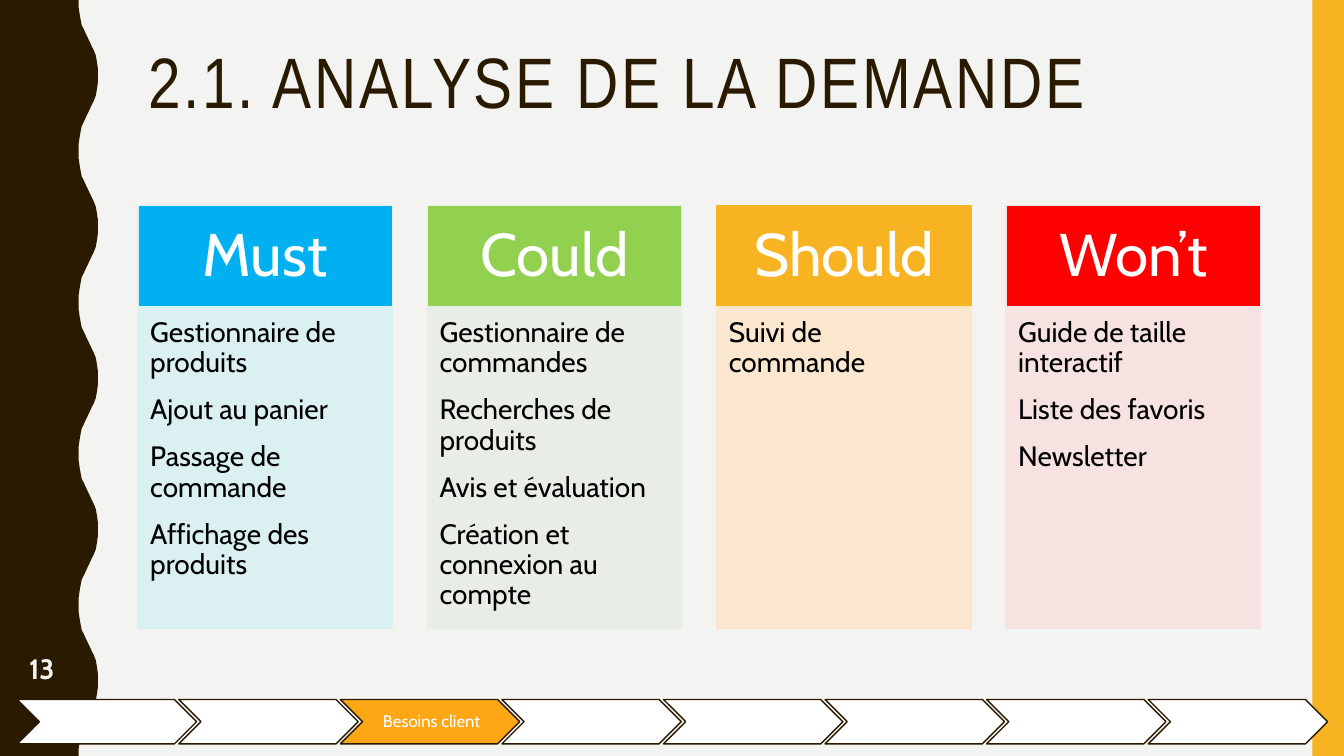
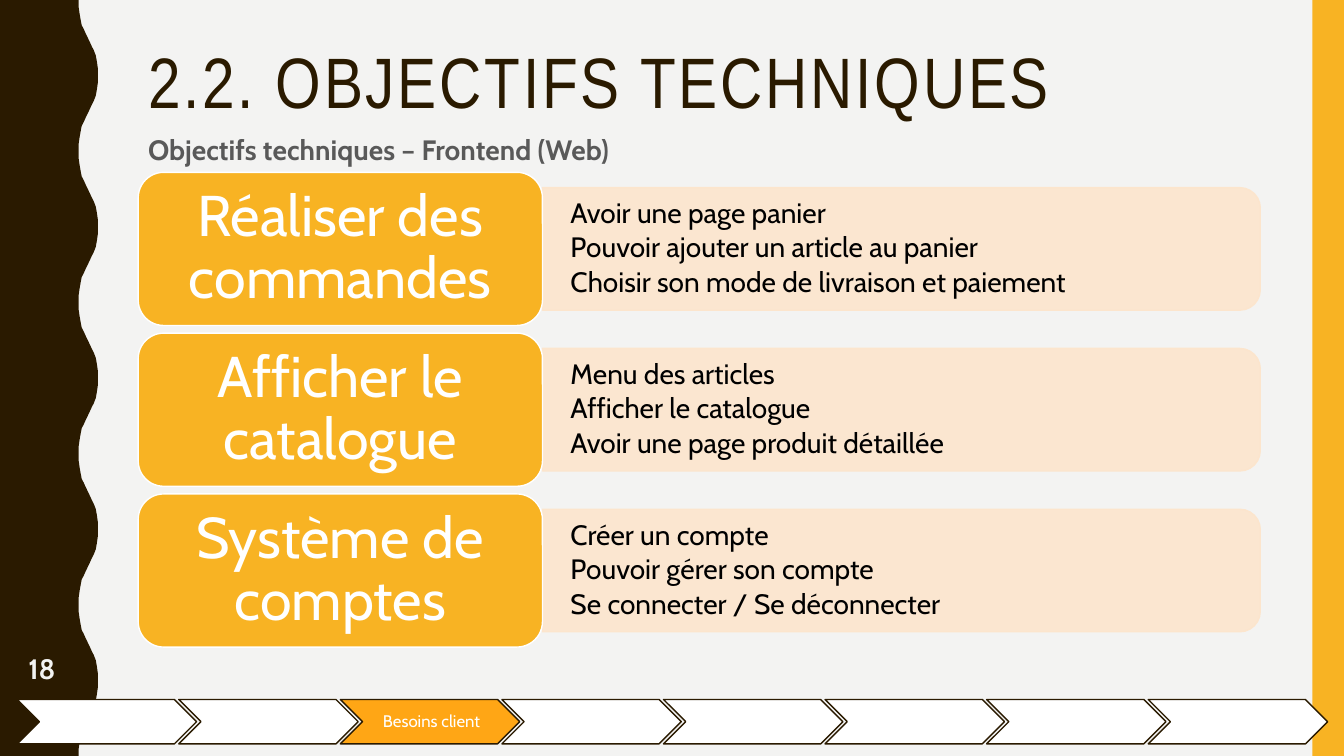
from dataclasses import dataclass

import lxml.etree
import pptx
import pptx.dml.color
import pptx.enum.shapes
import pptx.enum.text
import pptx.oxml.ns
import pptx.util

SHAPE = pptx.enum.shapes.MSO_SHAPE
ALIGN = pptx.enum.text.PP_ALIGN
ANCHOR = pptx.enum.text.MSO_ANCHOR


@dataclass(frozen=True)
class Theme:
    paper: str = "F3F3F2"
    dark: str = "2A1A00"
    accent: str = "F8B323"
    active: str = "FFA615"
    white: str = "FFFFFF"
    black: str = "000000"
    grey: str = "595959"
    peach: str = "FCE5CD"
    blue: str = "00B0F0"
    pale_blue: str = "DAF0F1"
    green: str = "92D050"
    pale_green: str = "E8EEE5"
    red: str = "FF0000"
    pale_red: str = "F6E2E1"
    title_font: str = "Arial Narrow"
    body_font: str = "Cabin"
    title_size: int = 51
    heading_size: int = 43
    goal_size: int = 41
    body_size: int = 20
    step_size: int = 12


THEME = Theme()


@dataclass(frozen=True)
class Box:
    left: float
    top: float
    width: float
    height: float

    def area(self, left, top, width, height):
        return Box(self.left + self.width * left / 100, self.top + self.height * top / 100,
                   self.width * width / 100, self.height * height / 100)

    def columns(self, count, gap):
        width = (100 - gap * (count - 1)) / count
        return [self.area(i * (width + gap), 0, width, 100) for i in range(count)]

    def rows(self, count, gap):
        height = (100 - gap * (count - 1)) / count
        return [self.area(0, i * (height + gap), 100, height) for i in range(count)]

    def upright(self):
        return Box(self.left + (self.width - self.height) / 2,
                   self.top + (self.height - self.width) / 2, self.height, self.width)

    def emu(self):
        return [round(v) for v in (self.left, self.top, self.width, self.height)]


PAGE = Box(0, 0, pptx.util.Inches(13.33), pptx.util.Inches(7.5))
CONTENT = PAGE.area(10.28, 0, 83.49, 100)

HALF_WAVE = [(80.4, 0), (80.4, 4.7), (81.4, 9.3), (82.5, 13.3), (83.5, 16.7),
             (85.6, 19.3), (87.6, 22.2), (89.7, 25), (91.8, 27.8), (93.8, 30.7),
             (95.9, 33.3), (97.9, 36.7), (99, 40.7), (100, 45.3), (100, 50)]
WAVE_COUNT = 5
STEPS = ["", "", "Besoins client", "", "", "", "", ""]

PRIORITIES = [
    ("Must", THEME.blue, THEME.pale_blue, THEME.pale_blue, 100,
     ["Gestionnaire de produits", "Ajout au panier", "Passage de commande",
      "Affichage des produits"]),
    ("Could", THEME.green, THEME.pale_green, THEME.pale_green, 100,
     ["Gestionnaire de commandes", "Recherches de produits", "Avis et évaluation",
      "Création et connexion au compte"]),
    ("Should", THEME.accent, THEME.accent, THEME.peach, 90, ["Suivi de commande"]),
    ("Won’t", THEME.red, THEME.pale_red, THEME.pale_red, 100,
     ["Guide de taille interactif", "Liste des favoris", "Newsletter"]),
]

GOALS = [
    ("Réaliser des commandes",
     ["Avoir une page panier", "Pouvoir ajouter un article au panier",
      "Choisir son mode de livraison et paiement"]),
    ("Afficher le catalogue",
     ["Menu des articles", "Afficher le catalogue", "Avoir une page produit détaillée"]),
    ("Système de comptes",
     ["Créer un compte", "Pouvoir gérer son compte", "Se connecter / Se déconnecter"]),
]


def rgb(value):
    return pptx.dml.color.RGBColor.from_string(value)


def paint(shape, fill, line=None, opacity=100):
    shape.shadow.inherit = False
    shape.fill.solid()
    shape.fill.fore_color.rgb = rgb(fill)
    if opacity < 100:
        qn = pptx.oxml.ns.qn
        color = shape.element.spPr.find(qn("a:solidFill"))[0]
        lxml.etree.SubElement(color, qn("a:alpha")).set("val", str(opacity * 1000))
    if line:
        shape.line.color.rgb = rgb(line)
        shape.line.width = pptx.util.Pt(1)
    else:
        shape.line.fill.background()
    return shape


def add_block(slide, box, kind, fill, line=None, opacity=100):
    return paint(slide.shapes.add_shape(kind, *box.emu()), fill, line, opacity)


def write(holder, lines, *, size=THEME.body_size, color=THEME.black, font=THEME.body_font,
          bold=False, align=ALIGN.LEFT, anchor=ANCHOR.TOP, inset=(7.2, 3.6, 7.2, 3.6),
          leading=0.9, after=0, tracking=0):
    frame = holder.text_frame
    frame.word_wrap = True
    frame.vertical_anchor = anchor
    (frame.margin_left, frame.margin_top,
     frame.margin_right, frame.margin_bottom) = map(pptx.util.Pt, inset)
    for i, line in enumerate(lines):
        paragraph = frame.add_paragraph() if i else frame.paragraphs[0]
        paragraph.alignment = align
        paragraph.line_spacing = leading
        paragraph.space_after = pptx.util.Pt(after)
        run = paragraph.add_run()
        run.text = line
        run.font.name = font
        run.font.size = pptx.util.Pt(size)
        run.font.bold = bold
        run.font.color.rgb = rgb(color)
        if tracking:
            run._r.get_or_add_rPr().set("spc", str(tracking * 100))


def add_text(slide, box, *lines, **style):
    write(slide.shapes.add_textbox(*box.emu()), lines, **style)


def draw_wave(slide, box):
    period = HALF_WAVE + [(x, 100 - y) for x, y in HALF_WAVE[-2:0:-1]]
    edge = [(wave.left + wave.width * x / 100, wave.top + wave.height * y / 100)
            for wave in box.rows(WAVE_COUNT, 0) for x, y in period]
    bottom = box.top + box.height
    edge += [(edge[0][0], bottom), (box.left, bottom)]
    outline = slide.shapes.build_freeform(round(box.left), round(box.top))
    outline.add_line_segments([(round(x), round(y)) for x, y in edge], close=True)
    paint(outline.convert_to_shape(), THEME.dark)


def draw_progress(slide, box):
    for step, cell in zip(STEPS, box.columns(len(STEPS), -1.36)):
        chevron = add_block(slide, cell, SHAPE.CHEVRON,
                            THEME.active if step else THEME.white, THEME.dark)
        if step:
            write(chevron, [step], size=THEME.step_size, color=THEME.white,
                  align=ALIGN.CENTER, anchor=ANCHOR.MIDDLE, inset=(3.6, 1.4, 1.4, 1.4))


def start_slide(deck, title, number):
    slide = deck.slides.add_slide(deck.slide_layouts[6])
    draw_wave(slide, PAGE.area(0, 0, 7.28, 100))
    add_block(slide, PAGE.area(97.65, 0, 2.35, 100), SHAPE.RECTANGLE, THEME.accent)
    add_text(slide, CONTENT.area(0, 5.6, 100, 11.87), title, size=THEME.title_size,
             color=THEME.dark, font=THEME.title_font, tracking=2)
    add_text(slide, PAGE.area(0.6, 85.47, 5.03, 5.87), number, color=THEME.paper, bold=True,
             align=ALIGN.CENTER, anchor=ANCHOR.MIDDLE, leading=1)
    draw_progress(slide, PAGE.area(1.28, 92.53, 97.5, 5.87))
    return slide


def draw_priority(slide, box, name, fill, border, pale, opacity, features):
    heading = add_block(slide, box.area(0, 0, 100, 24.1), SHAPE.RECTANGLE, fill, border)
    write(heading, [name], size=THEME.heading_size, color=THEME.white,
          align=ALIGN.CENTER, anchor=ANCHOR.MIDDLE)
    body = add_block(slide, box.area(0, 23.87, 100, 76.13), SHAPE.RECTANGLE,
                     pale, pale, opacity)
    write(body, features, inset=(8.6, 8.6, 11.5, 12), after=12)


def draw_goal(slide, box, goal, details):
    panel = box.area(36.03, 10, 63.97, 80)
    backing = add_block(slide, panel.upright(), SHAPE.ROUND_2_SAME_RECTANGLE,
                        THEME.peach, THEME.peach, 90)
    backing.rotation = 90
    add_text(slide, panel, *details, anchor=ANCHOR.MIDDLE, inset=(20, 3, 6, 3), after=3)
    label = add_block(slide, box.area(0, 0, 36.03, 100), SHAPE.ROUNDED_RECTANGLE,
                      THEME.accent, THEME.white)
    write(label, [goal], size=THEME.goal_size, color=THEME.white,
          align=ALIGN.CENTER, anchor=ANCHOR.MIDDLE, inset=(12, 6, 12, 6))


def build_demand(deck):
    slide = start_slide(deck, "2.1. ANALYSE DE LA DEMANDE", "13")
    cells = CONTENT.area(0, 27.2, 100, 55.87).columns(len(PRIORITIES), 3.14)
    for cell, priority in zip(cells, PRIORITIES):
        draw_priority(slide, cell, *priority)


def build_objectives(deck):
    slide = start_slide(deck, "2.2. OBJECTIFS TECHNIQUES", "18")
    add_text(slide, CONTENT.area(0, 16.93, 100, 5.87), "Objectifs techniques – Frontend (Web)",
             color=THEME.grey, bold=True, leading=1)
    cells = CONTENT.area(0, 22.8, 100, 62.8).rows(len(GOALS), 1.6)
    for cell, goal in zip(cells, GOALS):
        draw_goal(slide, cell, *goal)


def main():
    deck = pptx.Presentation()
    deck.slide_width, deck.slide_height = PAGE.width, PAGE.height
    backdrop = deck.slide_master.background.fill
    backdrop.solid()
    backdrop.fore_color.rgb = rgb(THEME.paper)
    build_demand(deck)
    build_objectives(deck)
    deck.save("out.pptx")


if __name__ == "__main__":
    main()
